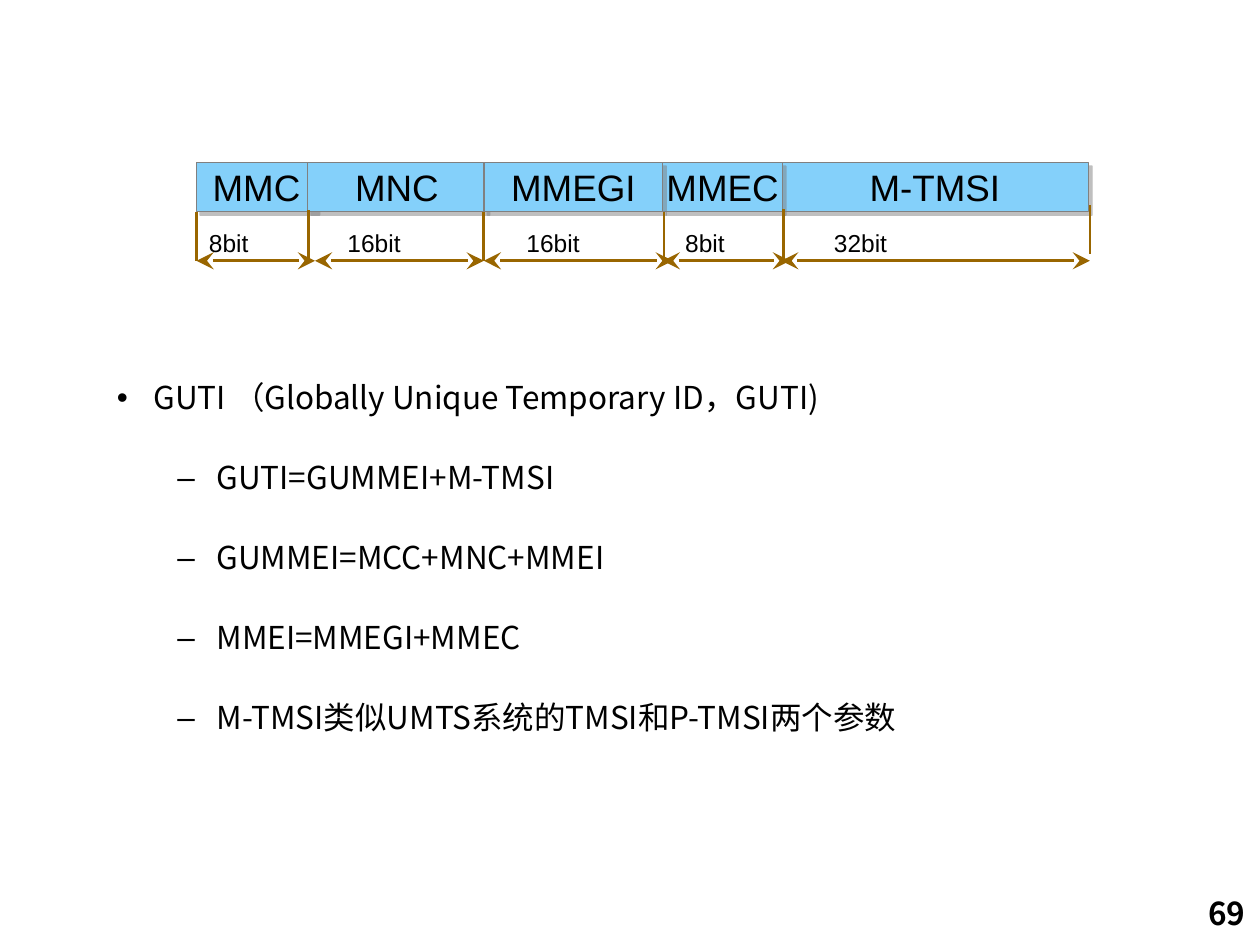
from lxml.etree import SubElement
from pptx import Presentation
from pptx.dml.color import RGBColor
from pptx.enum.shapes import MSO_CONNECTOR, MSO_SHAPE
from pptx.enum.text import MSO_ANCHOR, PP_ALIGN
from pptx.oxml import parse_xml
from pptx.oxml.ns import nsdecls, qn
from pptx.util import Inches, Pt

THEME = {
    "fill": "84D0FA", "edge": "808080", "rule": "996600", "ink": "000000",
    "latin": "Arial", "cjk": "Noto Sans CJK SC",
    "field": 21, "bits": 14, "body": 18,
}

# Fields, back to front: name, left, width
FIELDS = [("MMC", 1.56, 0.95), ("MNC", 2.44, 1.42), ("M-TMSI", 6.2, 2.44),
          ("MMEC", 5.26, 0.95), ("MMEGI", 3.84, 1.42)]
FIELD_TOP, FIELD_H = 1.29, 0.39
# Ticks: x, top
TICKS = [(1.56, 1.68), (2.45, 1.67), (3.84, 1.68), (5.27, 1.68), (6.22, 1.66), (8.65, 1.63)]
TICK_H = 0.39
# Spans: label, label left, arrow start, arrow end
SPANS = [("8bit", 1.56, 1.56, 2.5), ("16bit", 2.66, 2.5, 3.84), ("16bit", 4.08, 3.84, 5.34),
         ("8bit", 5.34, 5.26, 6.27), ("32bit", 6.52, 6.2, 8.65)]
SPAN_Y, LABEL_TOP = 2.07, 1.76
# Body: level, text
BODY = [
    (0, "GUTI （Globally Unique Temporary ID，GUTI)"),
    (1, "GUTI=GUMMEI+M-TMSI"),
    (1, "GUMMEI=MCC+MNC+MMEI"),
    (1, "MMEI=MMEGI+MMEC"),
    (1, "M-TMSI类似UMTS系统的TMSI和P-TMSI两个参数"),
]
# Per level: bullet, left margin, first-line indent
LEVELS = [("•", 0.29, -0.29), ("–", 0.79, -0.31)]
BODY_SPACING = 1.95
PAGE = "69"


def rgb(name):
    return RGBColor.from_string(THEME[name])


def put_text(p, text, size="body", font="latin", bold=False, align=PP_ALIGN.LEFT):
    p.alignment = align
    r = p.add_run()
    r.text = text
    f = r.font
    f.size, f.name, f.bold = Pt(THEME[size]), THEME[font], bold
    f.color.rgb = rgb("ink")
    SubElement(r._r.get_or_add_rPr(), qn("a:ea")).set("typeface", THEME[font])


def add_box(s, x, y, w, h, wrap=True):
    tf = s.shapes.add_textbox(Inches(x), Inches(y), Inches(w), Inches(h)).text_frame
    tf.word_wrap = wrap
    return tf


def add_field(s, name, x, w):
    sp = s.shapes.add_shape(MSO_SHAPE.RECTANGLE, Inches(x), Inches(FIELD_TOP),
                            Inches(w), Inches(FIELD_H))
    sp.fill.solid()
    sp.fill.fore_color.rgb = rgb("fill")
    sp.line.color.rgb = rgb("edge")
    sp.line.width = Pt(0.75)
    sp.shadow.inherit = False
    effects = sp._element.spPr.find(qn("a:effectLst"))
    effects.append(parse_xml(
        f'<a:outerShdw {nsdecls("a")} dist="{Pt(2.8)}" dir="2700000" algn="ctr" rotWithShape="0">'
        f'<a:srgbClr val="{THEME["edge"]}"><a:alpha val="50000"/></a:srgbClr></a:outerShdw>'))
    tf = sp.text_frame
    tf.word_wrap = False
    tf.vertical_anchor = MSO_ANCHOR.MIDDLE
    put_text(tf.paragraphs[0], name, size="field", align=PP_ALIGN.CENTER)


def add_line(s, x1, y1, x2, y2, arrows=False):
    c = s.shapes.add_connector(MSO_CONNECTOR.STRAIGHT, Inches(x1), Inches(y1),
                               Inches(x2), Inches(y2))
    c.line.color.rgb = rgb("rule")
    c.line.width = Pt(1.5)
    if arrows:
        for end in ("a:headEnd", "a:tailEnd"):
            SubElement(c.line._get_or_add_ln(), qn(end), type="stealth", w="lg", len="lg")
    SubElement(c._element.spPr, qn("a:effectLst"))


def add_bullet(p, level):
    char, margin, indent = LEVELS[level]
    pPr = p._p.get_or_add_pPr()
    pPr.set("marL", str(Inches(margin)))
    pPr.set("indent", str(Inches(indent)))
    SubElement(pPr, qn("a:buFont")).set("typeface", THEME["latin"])
    SubElement(pPr, qn("a:buChar")).set("char", char)


def main():
    prs = Presentation()
    prs.slide_width, prs.slide_height = Inches(10), Inches(7.5)
    s = prs.slides.add_slide(prs.slide_layouts[6])

    # Page number
    put_text(add_box(s, 9.49, 7.05, 0.55, 0.4, wrap=False).paragraphs[0],
             PAGE, font="cjk", bold=True)

    # Bulleted explanation
    tf = add_box(s, 0.83, 2.67, 8.43, 4.39)
    for i, (level, text) in enumerate(BODY):
        p = tf.add_paragraph() if i else tf.paragraphs[0]
        p.level = level
        add_bullet(p, level)
        p.line_spacing = BODY_SPACING
        if i:
            p.space_before = Pt(3.6)
        put_text(p, text, font="cjk")

    # Field row, ticks and measured spans
    for field in FIELDS:
        add_field(s, *field)
    for x, top in TICKS:
        add_line(s, x, top, x, top + TICK_H)
    for label, left, start, end in SPANS:
        add_line(s, start, SPAN_Y, end, SPAN_Y, arrows=True)
        put_text(add_box(s, left, LABEL_TOP, 1.1, 0.33).paragraphs[0], label, size="bits")

    prs.save("out.pptx")


if __name__ == "__main__":
    main()
